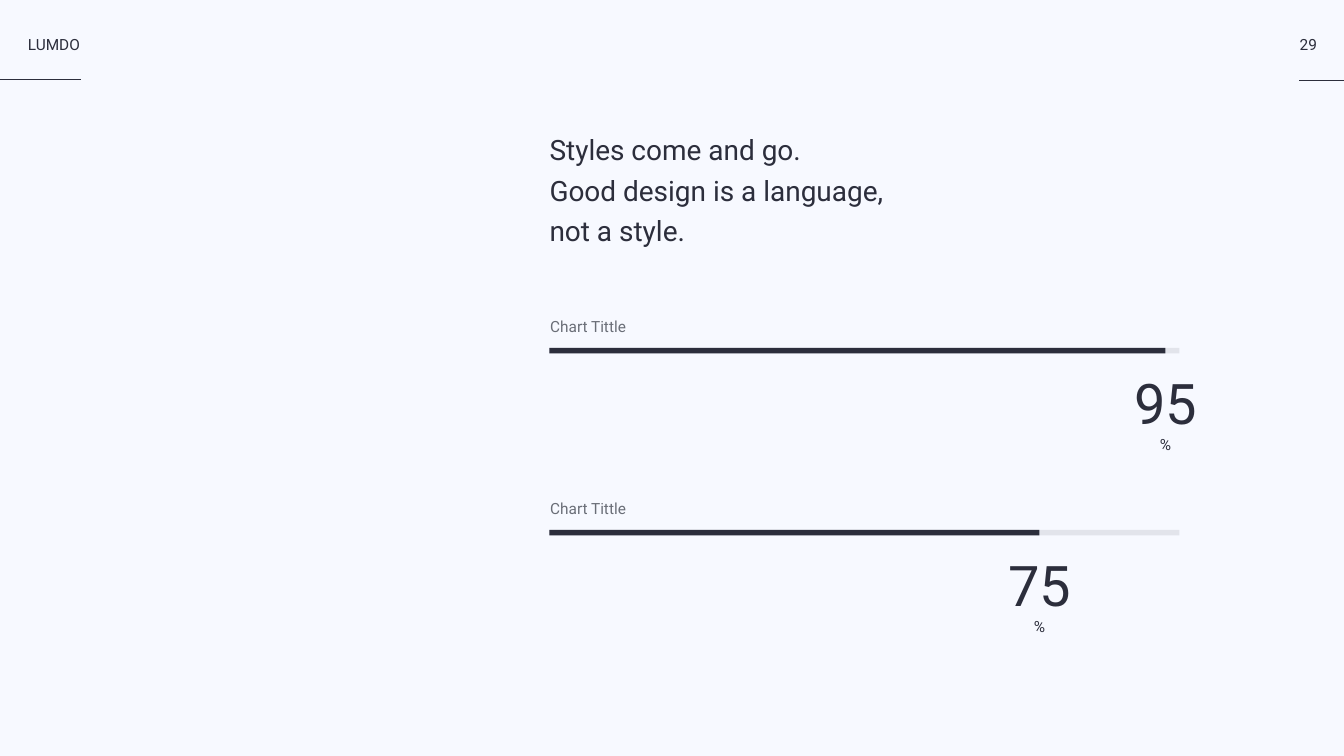
from dataclasses import dataclass

from lxml import etree
from pptx import Presentation
from pptx.dml.color import RGBColor
from pptx.enum.shapes import MSO_CONNECTOR, MSO_SHAPE
from pptx.enum.text import MSO_ANCHOR, MSO_AUTO_SIZE, PP_ALIGN
from pptx.oxml.ns import qn
from pptx.util import Pt

LEFT, CENTER = PP_ALIGN.LEFT, PP_ALIGN.CENTER
TOP, MIDDLE = MSO_ANCHOR.TOP, MSO_ANCHOR.MIDDLE
FIT = MSO_AUTO_SIZE.SHAPE_TO_FIT_TEXT
RECT, STRAIGHT = MSO_SHAPE.RECTANGLE, MSO_CONNECTOR.STRAIGHT

PX = 12700  # 1920 x 1080 px slide
WIDE, HIGH = 1920, 1080


@dataclass(frozen=True)
class Theme:
    font: str = "Roboto"
    back: str = "F7F9FF"
    ink: str = "2C2E3C"
    gray: str = "6A6E77"
    small: int = 22
    head: int = 40
    big: int = 80


class Page:
    def __init__(self, slide, theme):
        self.slide, self.theme = slide, theme
        fill = slide.background.fill
        fill.solid()
        fill.fore_color.rgb = RGBColor.from_string(theme.back)

    def put(self, shape, lines, size, color, align=LEFT, gap=None, anchor=TOP):
        """Fill a shape with one paragraph per line, in a single style."""
        frame = shape.text_frame
        frame.margin_left = frame.margin_right = 0
        frame.margin_top = frame.margin_bottom = 0
        frame.word_wrap, frame.auto_size = False, FIT
        frame.vertical_anchor = anchor
        frame.text = "\n".join(lines)
        for para in frame.paragraphs:
            para.alignment = align
            para.space_before = Pt(0)
            if gap:
                para.line_spacing = gap
            para.font.name = self.theme.font
            para.font.size = Pt(size)
            para.font.color.rgb = RGBColor.from_string(color)
        return frame

    def title(self, box, lines):
        shape = self.slide.shapes.title
        shape.left, shape.top, shape.width, shape.height = (n * PX for n in box)
        self.put(shape, lines, self.theme.head, self.theme.ink, gap=1.2)

    def text(self, box, line, size, color, **look):
        shape = self.slide.shapes.add_textbox(*(n * PX for n in box))
        return self.put(shape, [line], size, color, **look)

    def rule(self, x1, x2, y):
        line = self.slide.shapes.add_connector(
            STRAIGHT, x1 * PX, y * PX, x2 * PX, y * PX)
        line.line.color.rgb = RGBColor.from_string(self.theme.ink)
        line.line.width = Pt(2)
        etree.SubElement(line._element.spPr, qn("a:effectLst"))

    def bar(self, box, alpha=100):
        shape = self.slide.shapes.add_shape(RECT, *(n * PX for n in box))
        shape.shadow.inherit = False
        shape.line.fill.background()
        shape.fill.solid()
        shape.fill.fore_color.rgb = RGBColor.from_string(self.theme.ink)
        if alpha < 100:
            color = shape._element.spPr.find(".//" + qn("a:srgbClr"))
            etree.SubElement(color, qn("a:alpha"), val=str(alpha * 1000))

    def meter(self, x, y, full, part, label, value):
        """A bar on a pale track, its label above and its value under its end."""
        theme = self.theme
        self.bar((x, y, full, 8), alpha=10)
        self.bar((x, y, part, 8))
        self.text((x + 1, y - 57, 109, 29), label, theme.small, theme.gray,
                  gap=1.5)
        frame = self.text((x + part - 53, y + 37, 106, 106), value, theme.big,
                          theme.ink, align=CENTER, anchor=MIDDLE)
        para = frame.paragraphs[0]
        para.add_line_break()
        unit = para.add_run()
        unit.text = "%"
        unit.font.size = Pt(theme.small)


def main():
    deck = Presentation()
    deck.slide_width, deck.slide_height = WIDE * PX, HIGH * PX
    theme = Theme()
    page = Page(deck.slides.add_slide(deck.slide_layouts[5]), theme)

    page.rule(0, 116, 114)
    page.text((40, 50, 76, 29), "LUMDO", theme.small, theme.ink)
    page.rule(1856, WIDE, 115)
    page.text((1856, 50, 26, 29), "29", theme.small, theme.ink, align=CENTER)

    left = 785
    page.title((left, 180, 481, 180), [
        "Styles come and go.", "Good design is a language,", "not a style."])
    for row, (part, value) in enumerate([(880, "95"), (700, "75")]):
        page.meter(left, 497 + 260 * row, 900, part, "Chart Tittle", value)

    deck.save("out.pptx")


if __name__ == "__main__":
    main()
